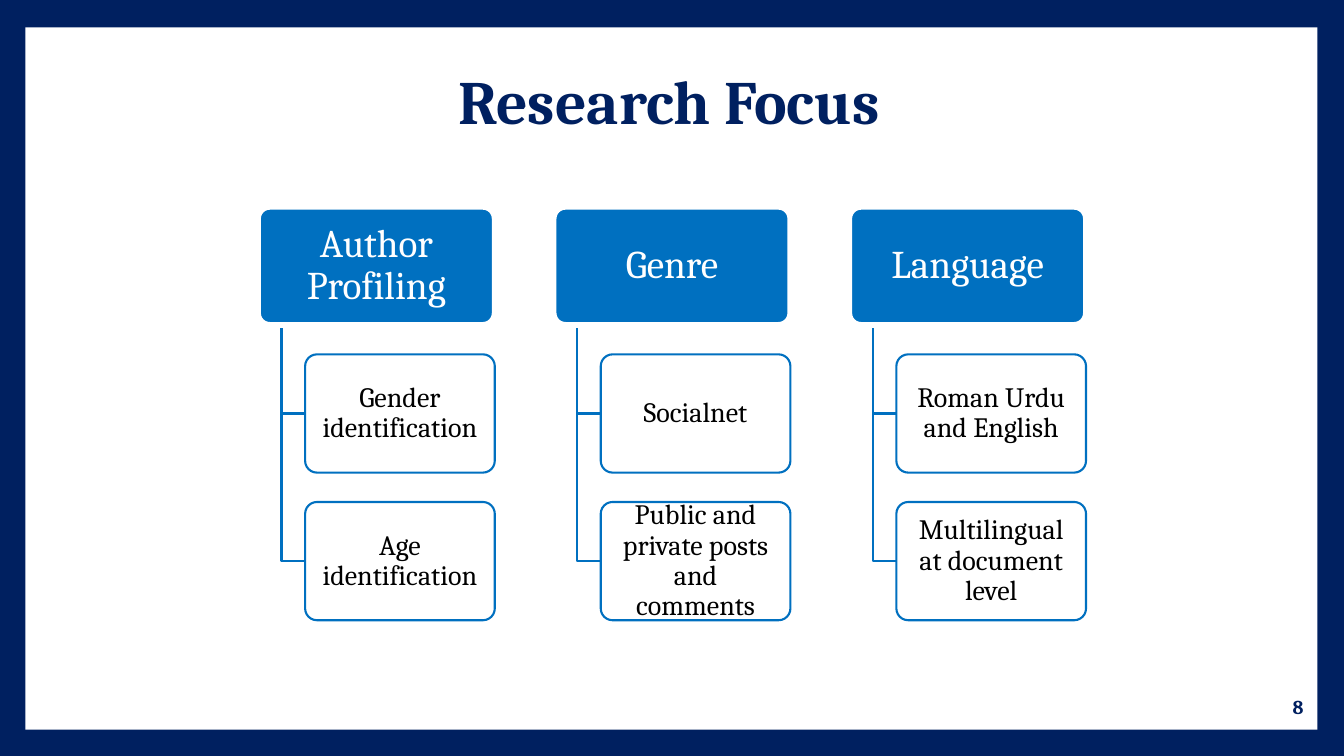
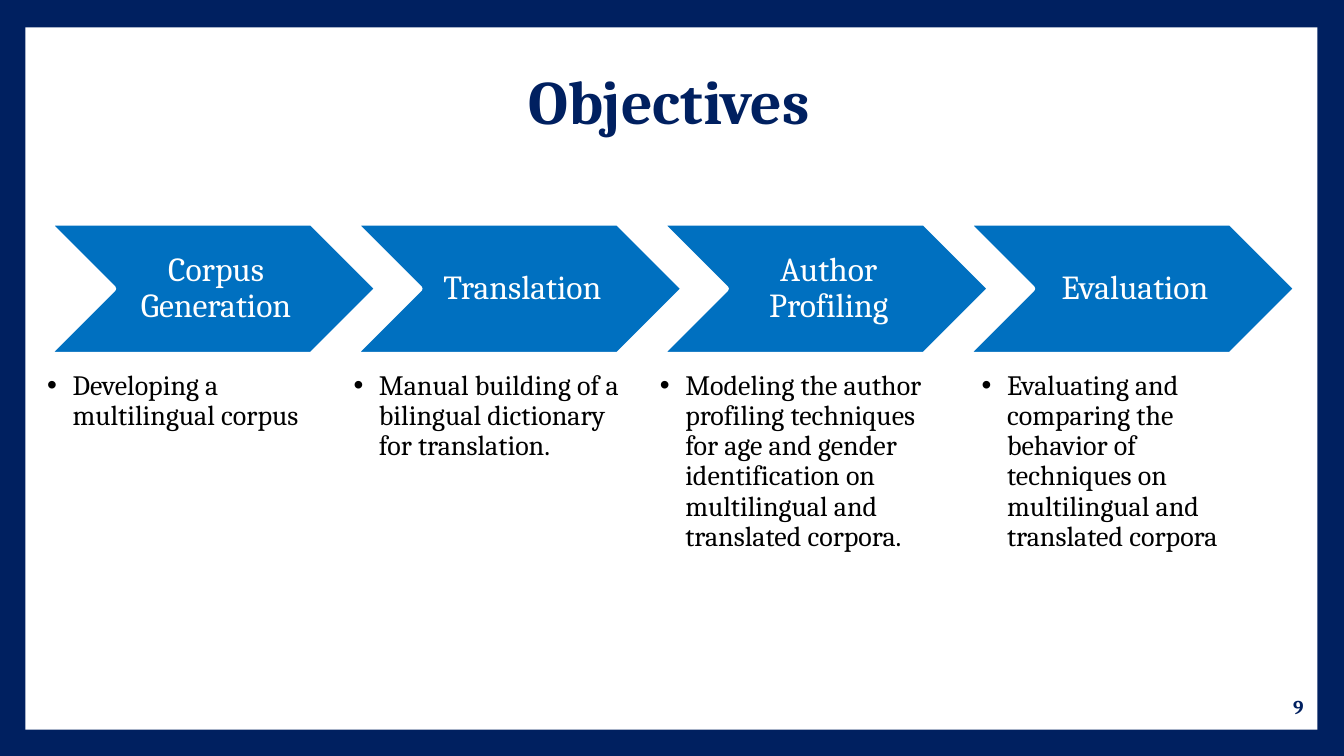
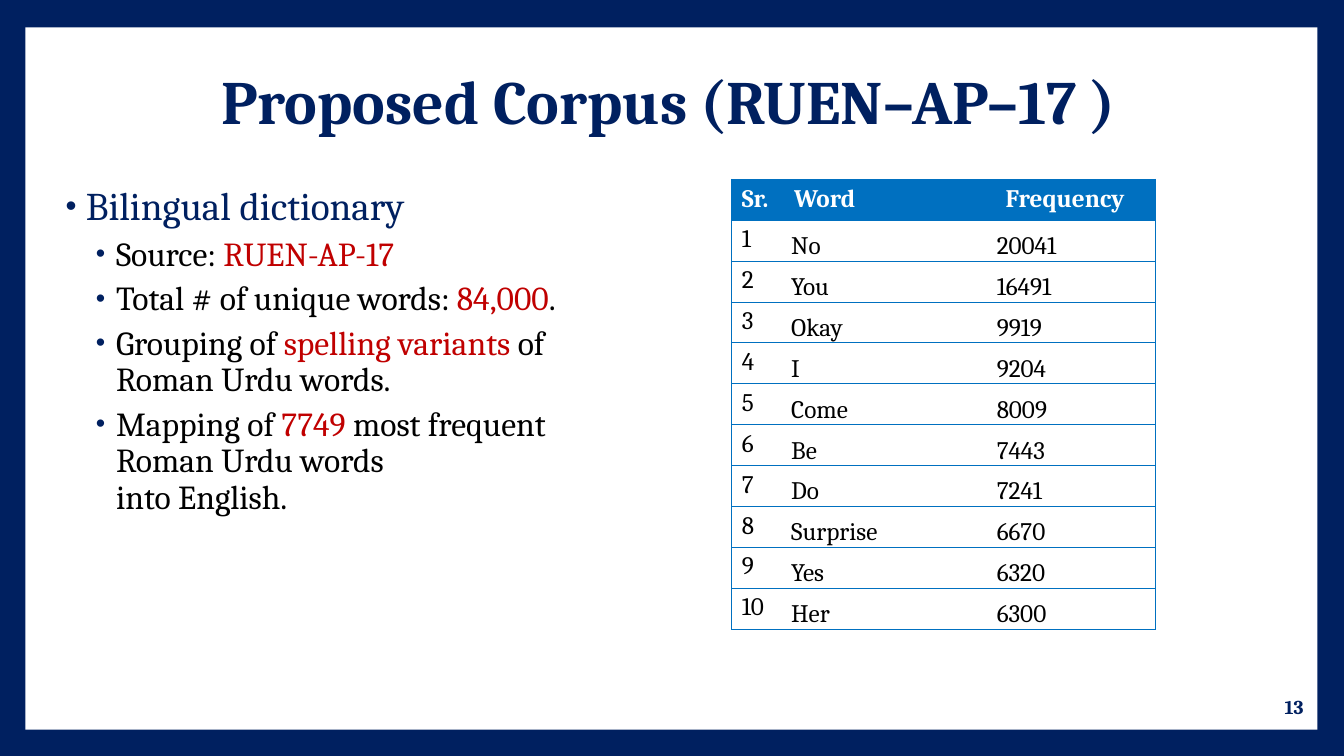
from lxml import etree
from pptx import Presentation
from pptx import util as u
from pptx.dml.color import RGBColor
from pptx.enum import shapes, text
from pptx.oxml import ns

Cm = u.Cm
NAVY = RGBColor(0x00, 0x20, 0x60)
BLUE = RGBColor(0x00, 0x70, 0xC0)
RED = RGBColor(0xC0, 0x00, 0x00)
WHITE = RGBColor(0xFF, 0xFF, 0xFF)
BLACK = RGBColor(0x00, 0x00, 0x00)
FONT = "Cambria"
MID = text.MSO_ANCHOR.MIDDLE
LOW = text.MSO_ANCHOR.BOTTOM
TOP = text.MSO_ANCHOR.TOP
LEFT = text.PP_ALIGN.LEFT
RIGHT = text.PP_ALIGN.RIGHT
CENTER = text.PP_ALIGN.CENTER

FOCUS = [
    ("Author Profiling", ["Gender identification", "Age identification"]),
    ("Genre", ["Socialnet", "Public and private posts and comments"]),
    ("Language", ["Roman Urdu and English", "Multilingual at document level"]),
]
STEPS = [
    ("Corpus Generation", "Developing a multilingual corpus", 1.19),
    ("Translation", "Manual building of a bilingual dictionary for translation.", 8.91),
    ("Author Profiling", "Modeling the author profiling techniques for age and gender "
     "identification on multilingual and translated corpora.", 16.63),
    ("Evaluation", "Evaluating and comparing the behavior of techniques on "
     "multilingual and translated corpora", 24.74),
]
POINTS = [
    [("Source: ", BLACK), ("RUEN-AP-17", RED)],
    [("Total # of unique words: ", BLACK), ("84,000", RED), (".", BLACK)],
    [("Grouping of ", BLACK), ("spelling variants ", RED), ("of\nRoman Urdu words.", BLACK)],
    [("Mapping of ", BLACK), ("7749", RED),
     (" most frequent\nRoman Urdu words\ninto English.", BLACK)],
]
WORDS = [("No", 20041), ("You", 16491), ("Okay", 9919), ("I", 9204), ("Come", 8009),
         ("Be", 7443), ("Do", 7241), ("Surprise", 6670), ("Yes", 6320), ("Her", 6300)]


def place(item, left, top, width, height):
    item.left, item.top, item.width, item.height = map(Cm, (left, top, width, height))


def style(para, size, color, bold=False, align=LEFT, lines=0.9):
    para.alignment = align
    para.line_spacing = lines
    font = para.font
    font.name, font.size, font.bold = FONT, u.Pt(size), bold
    font.color.rgb = color


def inset(frame, left, top, right, bottom):
    frame.margin_left, frame.margin_top = Cm(left), Cm(top)
    frame.margin_right, frame.margin_bottom = Cm(right), Cm(bottom)


def add_tag(parent, tag, **attrs):
    return etree.SubElement(parent, ns.qn(tag), {k: str(v) for k, v in attrs.items()})


def bullet(para, left, hang, color, scale):
    props = para._p.get_or_add_pPr()
    props.set("marL", str(Cm(left)))
    props.set("indent", str(-Cm(hang)))
    add_tag(add_tag(props, "a:buClr"), "a:srgbClr", val=color)
    add_tag(props, "a:buSzPct", val=scale * 1000)
    add_tag(props, "a:buFont", typeface="Arial")
    add_tag(props, "a:buChar", char="•")


def add_box(slide, kind, spot, fill, line=None, width=0):
    box = slide.shapes.add_shape(kind, *map(Cm, spot))
    box.shadow.inherit = False
    box.fill.solid()
    box.fill.fore_color.rgb = fill
    if line is None:
        box.line.fill.background()
    else:
        box.line.color.rgb = line
        box.line.width = u.Pt(width)
    return box


def label(box, words, size, color, pads):
    frame = box.text_frame
    frame.word_wrap = True
    frame.vertical_anchor = MID
    inset(frame, *pads)
    frame.text = words
    style(frame.paragraphs[0], size, color, align=CENTER)


def add_note(slide, spot, words):
    frame = slide.shapes.add_textbox(*map(Cm, spot)).text_frame
    frame.word_wrap = True
    frame.text = words
    return frame


def add_elbow(slide, left, top, right, bottom):
    pen = slide.shapes.build_freeform(Cm(left), Cm(top))
    pen.add_line_segments([(Cm(left), Cm(bottom)), (Cm(right), Cm(bottom))], close=False)
    elbow = pen.convert_to_shape()
    elbow.shadow.inherit = False
    elbow.fill.background()
    elbow.line.color.rgb = BLUE
    elbow.line.width = u.Pt(1.5)


def add_slide(deck, layout, title, number):
    slide = deck.slides.add_slide(deck.slide_layouts[layout])
    head = slide.shapes.title
    place(head, 0.64, 1.02, 32.44, 3.25)
    frame = head.text_frame
    frame.auto_size = text.MSO_AUTO_SIZE.NONE
    frame.vertical_anchor = MID
    frame.text = title
    style(frame.paragraphs[0], 44, NAVY, True, CENTER)
    page = add_note(slide, (28.35, 17.3, 4.75, 1.02), str(number))
    page.vertical_anchor = MID
    style(page.paragraphs[0], 14, NAVY, True, RIGHT, 1.0)
    return slide


def frame_master(deck, slide):
    master = deck.slide_master
    master.background.fill.solid()
    master.background.fill.fore_color.rgb = NAVY
    panel = add_box(slide, shapes.MSO_SHAPE.RECTANGLE, (0.64, 0.69, 32.56, 17.7), WHITE)
    panel.element.nvSpPr.cNvPr.set("id", "99")
    master.shapes.element.insert(2, panel.element)


def add_branch(slide, left, head, leaves):
    top, width, height, pitch, step = 5.21, 5.97, 2.98, 3.72, 1.19
    kind = shapes.MSO_SHAPE.ROUNDED_RECTANGLE
    tops = [top + pitch * (i + 1) for i in range(len(leaves))]
    for y in tops:
        add_elbow(slide, left + step / 2, top + height, left + step, y + height / 2)
    box = add_box(slide, kind, (left, top, width, height), BLUE, WHITE, 4.25)
    box.adjustments[0] = 0.1
    label(box, head, 28, WHITE, (0.23, 0.18, 0.23, 0.18))
    for y, leaf in zip(tops, leaves):
        box = add_box(slide, kind, (left + step, y, width - step, height), WHITE, BLUE, 1.5)
        box.adjustments[0] = 0.1
        label(box, leaf, 20, BLACK, (0.2, 0.15, 0.2, 0.15))


def add_step(slide, left, head, note, edge):
    arrow = add_box(slide, shapes.MSO_SHAPE.CHEVRON, (left, 5.61, 8.33, 3.33),
                    BLUE, WHITE, 4.25)
    label(arrow, head, 24, WHITE, (0.27, 0.1, 0.09, 0.1))
    frame = add_note(slide, (edge, 9.35, 6.99, 5.28), note)
    inset(frame, 0, 0, 0, 0)
    bullet(frame.paragraphs[0], 0.64, 0.64, BLACK, 100)
    style(frame.paragraphs[0], 20, BLACK)


def add_point(para, level, size, runs):
    para.level = level
    bullet(para, 1.27 + 0.76 * level, 0.51, NAVY, 80)
    style(para, size, runs[0][1])
    para.space_before, para.space_after = u.Pt(2), u.Pt(4)
    for words, color in runs:
        for i, line in enumerate(words.split("\n")):
            if i:
                para.add_line_break()
            run = para.add_run()
            run.text = line
            run.font.color.rgb = color


def fill_body(slide):
    body = slide.placeholders[1]
    place(body, 0.64, 4.57, 32.44, 12.34)
    frame = body.text_frame
    frame.auto_size = text.MSO_AUTO_SIZE.NONE
    add_point(frame.paragraphs[0], 0, 28, [("Bilingual dictionary", NAVY)])
    for runs in POINTS:
        add_point(frame.add_paragraph(), 1, 24, runs)


def rule_cell(cell, sides):
    props = cell._tc.get_or_add_tcPr()
    for side in "LRTB":
        line = add_tag(props, "a:ln" + side, w=u.Pt(0.79))
        if side in sides:
            add_tag(add_tag(line, "a:solidFill"), "a:srgbClr", val=BLUE)
        else:
            add_tag(line, "a:noFill")


def set_cell(cell, words, head, col):
    rule_cell(cell, ("LTB", "TB", "RTB")[col])
    if head:
        cell.fill.solid()
        cell.fill.fore_color.rgb = BLUE
    else:
        cell.fill.background()
    if head or col == 0:
        cell.vertical_anchor = TOP
    else:
        cell.vertical_anchor = LOW
        inset(cell, (0, 0.18, 0.03)[col], 0.03, 0.03, 0)
    cell.text = str(words)
    style(cell.text_frame.paragraphs[0], 18, WHITE if head else BLACK, head, lines=1.0)


def add_grid(slide):
    rows = [("Sr.", "Word", "Frequency")]
    rows += [(i, *pair) for i, pair in enumerate(WORDS, 1)]
    widths, high = (1.32, 5.33, 4.04), 1.03
    spot = (18.44, 4.52, sum(widths), high * len(rows))
    grid = slide.shapes.add_table(len(rows), len(widths), *map(Cm, spot)).table
    grid.horz_banding = False
    for col, width in zip(grid.columns, widths):
        col.width = Cm(width)
    for r, row in enumerate(rows):
        grid.rows[r].height = Cm(high)
        for c, words in enumerate(row):
            set_cell(grid.cell(r, c), words, r == 0, c)


def main():
    deck = Presentation()
    deck.slide_width, deck.slide_height = Cm(33.87), Cm(19.05)

    focus = add_slide(deck, 5, "Research Focus", 8)
    frame_master(deck, focus)
    for i, (head, leaves) in enumerate(FOCUS):
        add_branch(focus, 6.5 + 7.45 * i, head, leaves)

    goals = add_slide(deck, 5, "Objectives", 9)
    for i, (head, note, edge) in enumerate(STEPS):
        add_step(goals, 1.19 + 7.72 * i, head, note, edge)

    corpus = add_slide(deck, 1, "Proposed Corpus (RUEN–AP–17 )", 13)
    fill_body(corpus)
    add_grid(corpus)

    deck.save("out.pptx")


if __name__ == "__main__":
    main()
